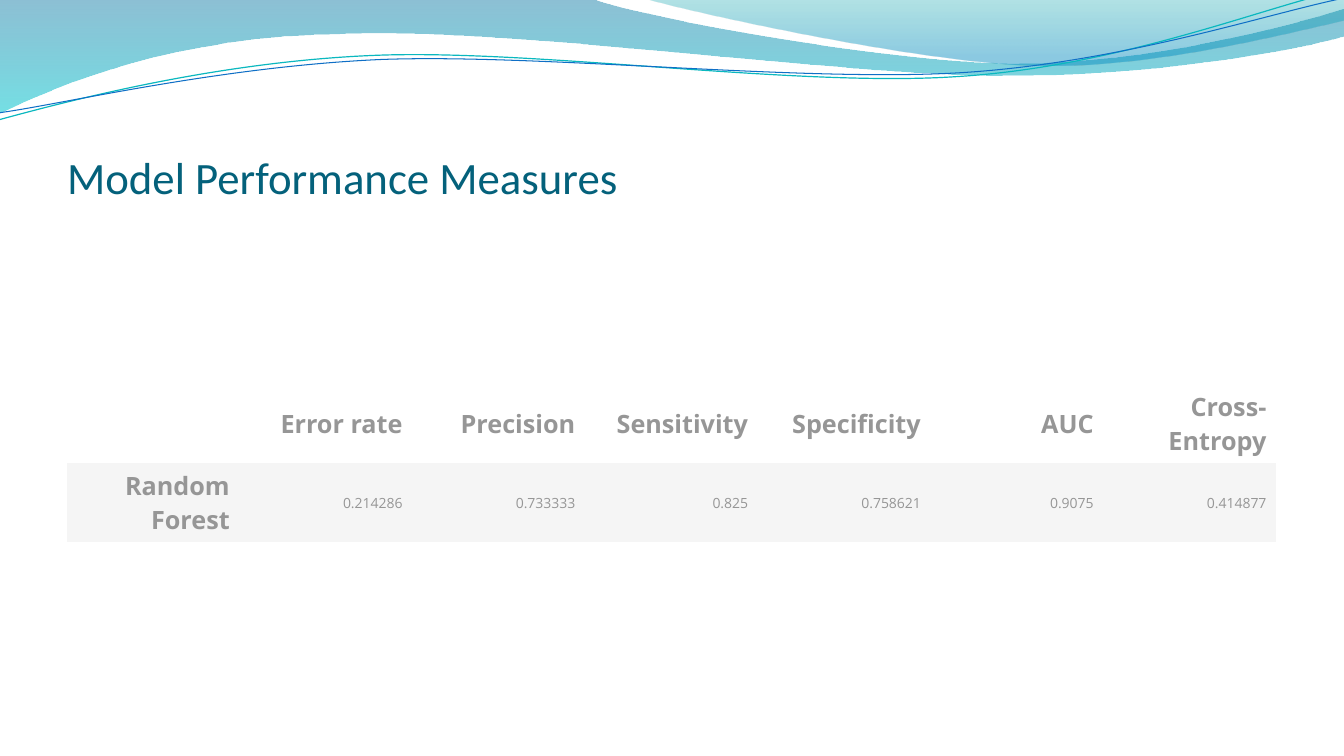
from lxml import etree
from pptx import Presentation
from pptx.dml.color import RGBColor
from pptx.enum.text import MSO_ANCHOR, PP_ALIGN
from pptx.oxml.ns import qn
from pptx.util import Cm, Pt

RIGHT, LEFT = PP_ALIGN.RIGHT, PP_ALIGN.LEFT
MIDDLE, BOTTOM = MSO_ANCHOR.MIDDLE, MSO_ANCHOR.BOTTOM
TITLE_ONLY = 5
NO_GRID_STYLE = "{2D5ABB26-0587-4C30-8999-92F81FD0307C}"

COLORS = {
    "title": "04617B",
    "table_text": "969696",
    "header_row": "FFFFFF",
    "data_row": "F5F5F5",
    "band_top": "0074A1",
    "band_bottom": "00C6CF",
    "swoop_top": "00A1A9",
    "swoop_bottom": "008BBF",
    "teal_line": "0AB8BF",
    "blue_line": "0F6FC6",
}

# Outlines in cm: a start point, then segments of one point (line) or three (curve)
BAND = [(0, 0), [(14.91, -0.03)],
        [(16.1, 0.43), (22.48, 1.6), (25.68, 1.6)],
        [(28.91, 1.6), (32.46, 0.66), (33.86, 0.23)],
        [(33.91, 0.91)],
        [(33.3, 1.12), (29.46, 1.93), (25.25, 1.91)],
        [(21.06, 1.91), (12.93, 0.71), (8.71, 0.86)],
        [(4.37, 0.91), (1.55, 2.11), (-0.03, 2.87)],
        [(0, 0)]]
SWOOP = [(16.23, -0.03),
         [(17.25, 0.28), (23.09, 1.57), (26.04, 1.65)],
         [(28.98, 1.75), (32.56, 0.81), (33.86, 0.53)],
         [(33.86, 0)], [(16.23, -0.03)]]
TEAL_LINE = [(-0.03, 3.02),
             [(1.63, 2.57), (5.36, 1.57), (9.37, 1.4)],
             [(13.39, 1.22), (20.07, 2.21), (24.13, 1.93)],
             [(28.19, 1.68), (31.8, 0.2), (33.81, -0.25)]]
BLUE_LINE = [(0, 2.84),
             [(1.6, 2.62), (5.54, 1.68), (9.6, 1.5)],
             [(13.64, 1.35), (20.22, 2.08), (24.26, 1.83)],
             [(28.32, 1.57), (31.88, 0.36), (33.88, -0.05)]]

MEASURES = [
    ["", "Error rate", "Precision", "Sensitivity", "Specificity", "AUC", "Cross-Entropy"],
    ["Random Forest", "0.214286", "0.733333", "0.825", "0.758621", "0.9075", "0.414877"],
]


def color(name):
    return RGBColor.from_string(COLORS[name])


def add_outline(slide, outline, close):
    """Draw an outline, then join each group of three points into one curve."""
    start, *segments = outline
    builder = slide.shapes.build_freeform(Cm(start[0]), Cm(start[1]))
    builder.add_line_segments([(Cm(x), Cm(y)) for segment in segments for x, y in segment],
                              close=close)
    shape = builder.convert_to_shape()
    shape.shadow.inherit = False

    steps = iter(list(shape.element.iter(qn("a:lnTo"))))
    for segment in segments:
        first, *others = [next(steps) for _ in segment]
        if others:
            curve = etree.Element(qn("a:cubicBezTo"))
            first.addprevious(curve)
            for step in (first, *others):
                curve.append(step[0])
                step.getparent().remove(step)
    return shape


def add_gradient_wave(slide, outline, stops):
    """Fill a wave from top to bottom; stops hold colour, position and opacity."""
    shape = add_outline(slide, outline, close=True)
    shape.line.fill.background()
    shape.fill.gradient()
    shape.fill.gradient_angle = 270
    for stop, (name, position, _) in zip(shape.fill.gradient_stops, stops):
        stop.color.rgb = color(name)
        stop.position = position
    for element, (_, _, opacity) in zip(shape.element.iter(qn("a:srgbClr")), stops):
        etree.SubElement(element, qn("a:alpha"), val=str(opacity * 1000))


def add_wave_line(slide, outline, name, width):
    shape = add_outline(slide, outline, close=False)
    shape.fill.background()
    shape.line.color.rgb = color(name)
    shape.line.width = Pt(width)


def format_text(paragraph, font, size, name, bold=False, align=LEFT):
    paragraph.alignment = align
    for run in paragraph.runs:
        run.font.name = font
        run.font.size = Pt(size)
        run.font.bold = bold
        run.font.color.rgb = color(name)


def set_title(slide, text):
    title = slide.shapes.title
    title.left, title.top, title.width, title.height = Cm(1.69), Cm(1.96), Cm(30.48), Cm(3.18)
    frame = title.text_frame
    frame.text = text
    frame.vertical_anchor = BOTTOM
    frame.margin_left = frame.margin_right = frame.margin_bottom = 0
    format_text(frame.paragraphs[0], "Calibri", 32, "title")


def add_measures_table(slide, rows):
    frame = slide.shapes.add_table(len(rows), len(rows[0]),
                                   Cm(1.69), Cm(9.69), Cm(30.48), Cm(3.56))
    next(frame.element.iter(qn("a:tableStyleId"))).text = NO_GRID_STYLE
    for row_index, row in enumerate(rows):
        for column_index, text in enumerate(row):
            cell = frame.table.cell(row_index, column_index)
            is_header = row_index == 0 or column_index == 0
            cell.vertical_anchor = MIDDLE
            cell.fill.solid()
            cell.fill.fore_color.rgb = color("data_row" if row_index else "header_row")
            if text:
                cell.text_frame.text = text
                format_text(cell.text_frame.paragraphs[0], "Open Sans",
                            18 if is_header else 10, "table_text", is_header, RIGHT)


def main():
    presentation = Presentation()
    presentation.slide_width, presentation.slide_height = Cm(33.87), Cm(19.05)
    slide = presentation.slides.add_slide(presentation.slide_layouts[TITLE_ONLY])

    # Wave decoration
    add_gradient_wave(slide, BAND, [("band_top", 0, 45), ("band_bottom", 1, 55)])
    add_gradient_wave(slide, SWOOP, [("swoop_top", 0, 30), ("swoop_bottom", 0.8, 45)])
    add_wave_line(slide, TEAL_LINE, "teal_line", 0.85)
    add_wave_line(slide, BLUE_LINE, "blue_line", 0.75)

    # Title and table
    set_title(slide, "Model Performance Measures")
    add_measures_table(slide, MEASURES)

    presentation.save("out.pptx")


if __name__ == "__main__":
    main()
